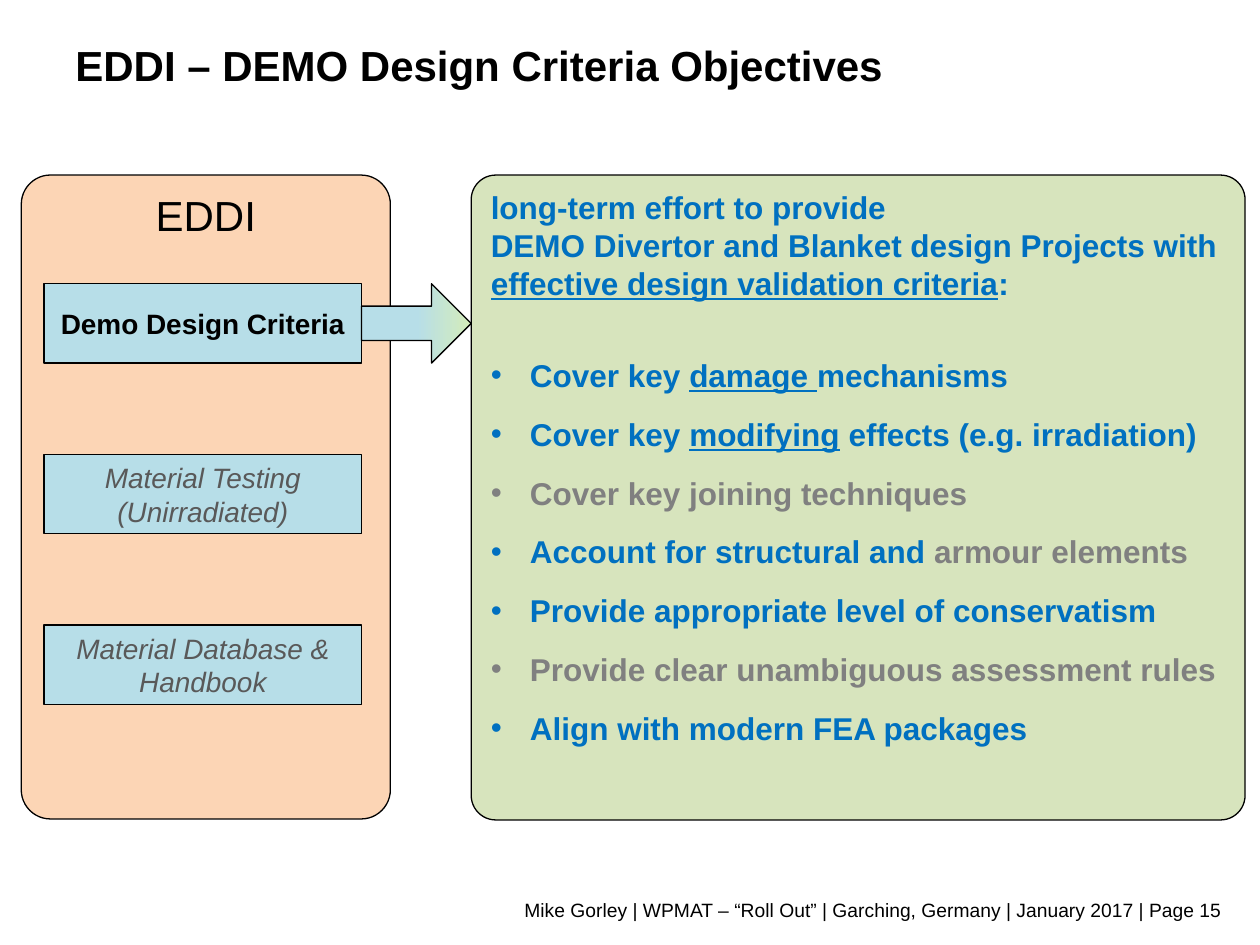
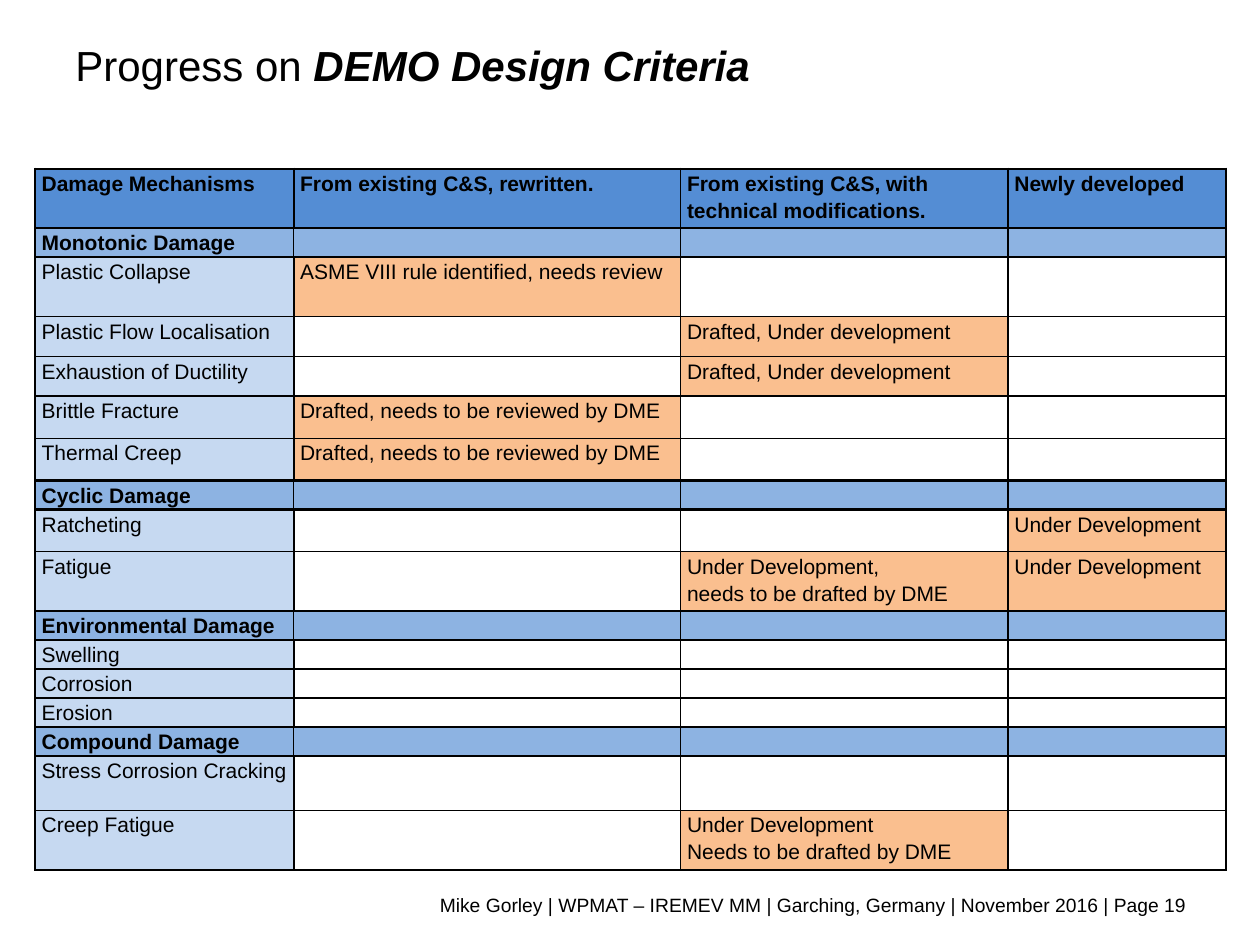
from copy import deepcopy
from dataclasses import dataclass

from lxml.etree import SubElement
from pptx import Presentation
from pptx.dml.color import RGBColor
from pptx.enum.shapes import MSO_SHAPE
from pptx.enum.text import MSO_ANCHOR, PP_ALIGN
from pptx.oxml.ns import qn
from pptx.util import Cm, Pt


@dataclass(frozen=True)
class Theme:
    font: str = "Arial"
    black: str = "000000"
    white: str = "FFFFFF"
    peach: str = "FCD5B5"
    aqua: str = "B7DEE8"
    green: str = "D7E4BD"
    arrow_tip: str = "D4ECBA"
    blue: str = "0070C0"
    grey: str = "808080"
    dark_grey: str = "595959"
    header: str = "548DD4"
    group: str = "8DB3E2"
    label: str = "C6D9F1"
    status: str = "FABF8F"
    title_size: int = 24
    body_size: int = 18
    box_size: int = 16
    cell_size: int = 12
    footer_size: int = 11
    thin: float = 1
    thick: float = 1.5


THEME = Theme()
UNDERLINED = {"underline": True}
GREY = {"color": THEME.grey}

INTRO = [
    ["long-term effort to provide"],
    ["DEMO Divertor and Blanket design Projects with"],
    [("effective design validation criteria", UNDERLINED), ":"],
]
OBJECTIVES = [
    ["Cover key ", ("damage ", UNDERLINED), "mechanisms"],
    ["Cover key ", ("modifying", UNDERLINED), " effects (e.g. irradiation)"],
    [("Cover key joining techniques", GREY)],
    ["Account for structural and ", ("armour elements", GREY)],
    ["Provide appropriate level of conservatism"],
    [("Provide clear unambiguous assessment rules", GREY)],
    ["Align with modern FEA packages"],
]

# Each row: kind, height in cm, then the leading cells; the rest stay empty
HEADER, GROUP, ITEM = "header", "group", "item"
REVIEW = "Drafted, needs to be reviewed by DME"
DRAFTED = "Drafted, Under development"
ONGOING = "Under Development"
COLUMNS = [5.21, 7.8, 6.6, 4.39]
ROWS = [
    (HEADER, 1.2, "Damage Mechanisms", "From existing C&S, rewritten.",
     "From existing C&S, with technical modifications.", "Newly developed"),
    (GROUP, 0.54, "Monotonic Damage"),
    (ITEM, 1.2, "Plastic Collapse", "ASME VIII rule identified, needs review"),
    (ITEM, 0.8, "Plastic Flow Localisation", "", DRAFTED),
    (ITEM, 0.8, "Exhaustion of Ductility", "", DRAFTED),
    (ITEM, 0.85, "Brittle Fracture", REVIEW),
    (ITEM, 0.85, "Thermal Creep", REVIEW),
    (GROUP, 0.54, "Cyclic Damage"),
    (ITEM, 0.85, "Ratcheting", "", "", ONGOING),
    (ITEM, 1.2, "Fatigue", "", "Under Development,\nneeds to be drafted by DME", ONGOING),
    (GROUP, 0.54, "Environmental Damage"),
    (ITEM, 0.54, "Swelling"),
    (ITEM, 0.54, "Corrosion"),
    (ITEM, 0.54, "Erosion"),
    (GROUP, 0.54, "Compound Damage"),
    (ITEM, 1.09, "Stress Corrosion Cracking"),
    (ITEM, 1.2, "Creep Fatigue", "", "Under Development\nNeeds to be drafted by DME"),
]


class SlideBuilder:
    """Holds the theme and the slide being built."""

    def __init__(self, theme):
        self.theme = theme
        self.deck = Presentation()
        self.deck.slide_width, self.deck.slide_height = Cm(25.4), Cm(19.05)
        self.slide = None

    def new_page(self, title, footer, footer_right, footer_top):
        self.slide = self.deck.slides.add_slide(self.deck.slide_layouts[6])
        self.text((1.27, 0.08, 21, 2.46), title, self.theme.title_size)
        width = 22.89
        self.text((footer_right - width, footer_top, width, 0.74), [footer],
                  self.theme.footer_size, PP_ALIGN.RIGHT)

    def format_run(self, span, size, color=None, bold=False, italic=False, underline=False):
        font = span.font
        font.name, font.size = self.theme.font, Pt(size)
        font.bold, font.italic, font.underline = bold, italic, underline
        font.color.rgb = RGBColor.from_string(color or self.theme.black)

    def add_spans(self, para, spans, size, align=PP_ALIGN.LEFT, **style):
        """Spans are strings, or pairs of a string and its own style."""
        para.alignment = align
        for item in spans:
            words, extra = (item, {}) if isinstance(item, str) else item
            span = para.add_run()
            span.text = words
            self.format_run(span, size, **{**style, **extra})

    def text(self, area, spans, size, align=PP_ALIGN.LEFT):
        box = self.slide.shapes.add_textbox(*map(Cm, area))
        frame = box.text_frame
        frame.word_wrap = True
        frame.vertical_anchor = MSO_ANCHOR.MIDDLE
        self.add_spans(frame.paragraphs[0], spans, size, align)

    def shape(self, kind, area, fill, adjustments=(), anchor=MSO_ANCHOR.MIDDLE):
        shape = self.slide.shapes.add_shape(kind, *map(Cm, area))
        shape.shadow.inherit = False
        shape.fill.solid()
        shape.fill.fore_color.rgb = RGBColor.from_string(fill)
        shape.line.color.rgb = RGBColor.from_string(self.theme.black)
        shape.line.width = Pt(0.75)
        for index, value in enumerate(adjustments):
            shape.adjustments[index] = value
        shape.text_frame.word_wrap = True
        shape.text_frame.vertical_anchor = anchor
        return shape

    def panel(self, area, fill, radius):
        return self.shape(MSO_SHAPE.ROUNDED_RECTANGLE, area, fill, [radius], MSO_ANCHOR.TOP)

    def box(self, area, label, **style):
        box = self.shape(MSO_SHAPE.RECTANGLE, area, self.theme.aqua)
        self.add_spans(box.text_frame.paragraphs[0], [label], self.theme.box_size,
                       PP_ALIGN.CENTER, **style)

    def arrow(self, area, start, end):
        arrow = self.shape(MSO_SHAPE.RIGHT_ARROW, area, start, [0.434, 0.5])
        arrow.fill.gradient()
        arrow.fill.gradient_angle = 0
        for stop, color in zip(arrow.fill.gradient_stops, (start, end)):
            stop.color.rgb = RGBColor.from_string(color)
        # Hold the start colour until halfway
        first = arrow._element.spPr.find(".//" + qn("a:gs"))
        middle = deepcopy(first)
        middle.set("pos", "50000")
        first.addnext(middle)

    def bullet(self, para, indent):
        properties = para._p.get_or_add_pPr()
        properties.set("marL", str(Cm(indent)))
        properties.set("indent", str(-Cm(indent)))
        SubElement(properties, qn("a:buFont")).set("typeface", self.theme.font)
        SubElement(properties, qn("a:buChar")).set("char", "•")

    def cell(self, cell, words, fill, borders, bold, align):
        cell.margin_left = cell.margin_right = Cm(0.13)
        cell.margin_top = cell.margin_bottom = 0
        cell.vertical_anchor = MSO_ANCHOR.TOP
        cell.text_frame.text = words
        for para in cell.text_frame.paragraphs:
            para.alignment = align
            para.line_spacing = 1.15
            for span in para.runs:
                self.format_run(span, self.theme.cell_size, bold=bold)
            if not para.runs:
                end = SubElement(para._p, qn("a:endParaRPr"))
                end.set("sz", str(self.theme.cell_size * 100))
        properties = cell._tc.get_or_add_tcPr()
        for side, thick in zip("LRTB", borders):
            line = SubElement(properties, qn(f"a:ln{side}"))
            line.set("w", str(Pt(self.theme.thick if thick else self.theme.thin)))
            color = SubElement(SubElement(line, qn("a:solidFill")), qn("a:srgbClr"))
            color.set("val", self.theme.black)
        cell.fill.solid()
        cell.fill.fore_color.rgb = RGBColor.from_string(fill)

    def cell_fill(self, kind, column, words):
        if kind == HEADER:
            return self.theme.header
        if kind == GROUP:
            return self.theme.group
        if column == 0:
            return self.theme.label
        return self.theme.status if words else self.theme.white

    def table(self, left, top, columns, rows):
        height = sum(row[1] for row in rows)
        frame = self.slide.shapes.add_table(len(rows), len(columns), Cm(left), Cm(top),
                                            Cm(sum(columns)), Cm(height))
        table = frame.table
        table.first_row = table.horz_banding = False
        for column, width in zip(table.columns, columns):
            column.width = Cm(width)
        kinds = [row[0] for row in rows]
        last = len(columns) - 1
        for index, (kind, row_height, *texts) in enumerate(rows):
            table.rows[index].height = Cm(row_height)
            # Lines are thick around the table, the headings and the first column
            above = kind != ITEM or kinds[index - 1] != ITEM
            below = kind != ITEM or index + 1 == len(rows) or kinds[index + 1] != ITEM
            split = kind != GROUP
            for column in range(len(columns)):
                words = texts[column] if column < len(texts) else ""
                borders = (column == 0 or (column == 1 and split),
                           column == last or (column == 0 and split), above, below)
                align = PP_ALIGN.LEFT if column else PP_ALIGN.JUSTIFY
                self.cell(table.cell(index, column), words,
                          self.cell_fill(kind, column, words), borders, kind != ITEM, align)


def objectives_page(builder):
    theme = builder.theme
    builder.new_page([("EDDI – DEMO Design Criteria Objectives", {"bold": True})],
                     "Mike Gorley | WPMAT – “Roll Out” | Garching, Germany | January 2017 | Page 15",
                     24.89, 17.98)

    # EDDI work areas
    eddi = builder.panel((0.43, 3.53, 7.44, 12.98), theme.peach, 0.079)
    builder.add_spans(eddi.text_frame.paragraphs[0], ["EDDI"], theme.title_size, PP_ALIGN.CENTER)
    left, top, width, height, step = 0.89, 5.72, 6.4, 1.6, 3.44
    muted = {"color": theme.dark_grey, "italic": True}
    areas = [("Demo Design Criteria", {"bold": True}),
             ("Material Testing (Unirradiated)", muted),
             ("Material Database & Handbook", muted)]
    for index, (label, style) in enumerate(areas):
        builder.box((left, top + index * step, width, height), label, **style)

    # Objectives
    goals = builder.panel((9.5, 3.53, 15.6, 13), theme.green, 0.038)
    frame = goals.text_frame
    for index, spans in enumerate(INTRO + OBJECTIVES):
        para = frame.add_paragraph() if index else frame.paragraphs[0]
        builder.add_spans(para, spans, theme.body_size, color=theme.blue, bold=True)
        if index >= len(INTRO):
            para.space_before = Pt(31 if index == len(INTRO) else 12)
            builder.bullet(para, 0.79)

    # Link from the design criteria to their objectives
    builder.arrow((left + width, top, 2.21, height), theme.aqua, theme.arrow_tip)


def progress_page(builder):
    builder.new_page(["Progress on ", ("DEMO Design Criteria", {"bold": True, "italic": True})],
                     "Mike Gorley | WPMAT – IREMEV MM | Garching, Germany | November 2016 | Page 19",
                     24.18, 17.88)
    builder.table(0.71, 3.4, COLUMNS, ROWS)


def main():
    builder = SlideBuilder(THEME)
    objectives_page(builder)
    progress_page(builder)
    builder.deck.save("out.pptx")


if __name__ == "__main__":
    main()
